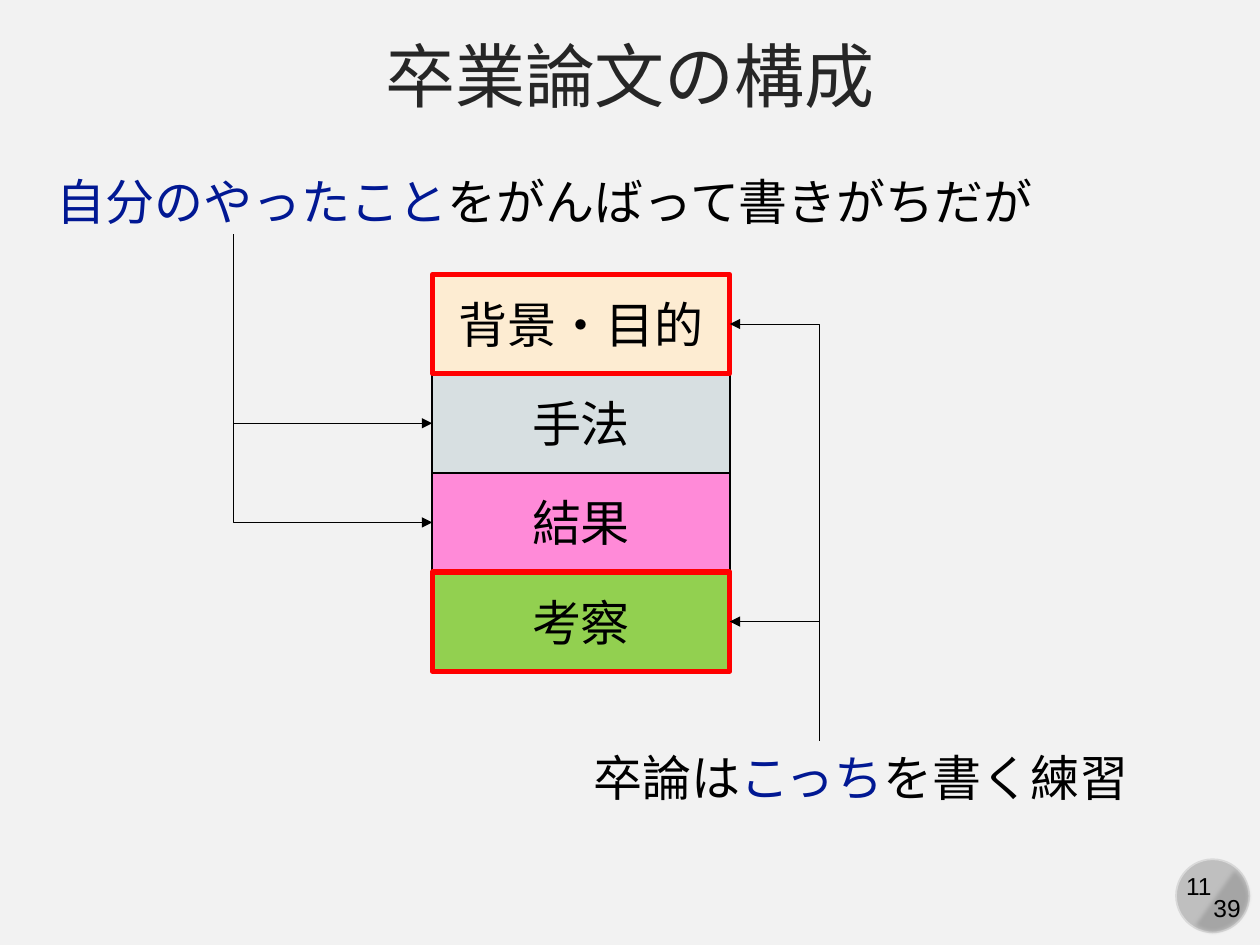
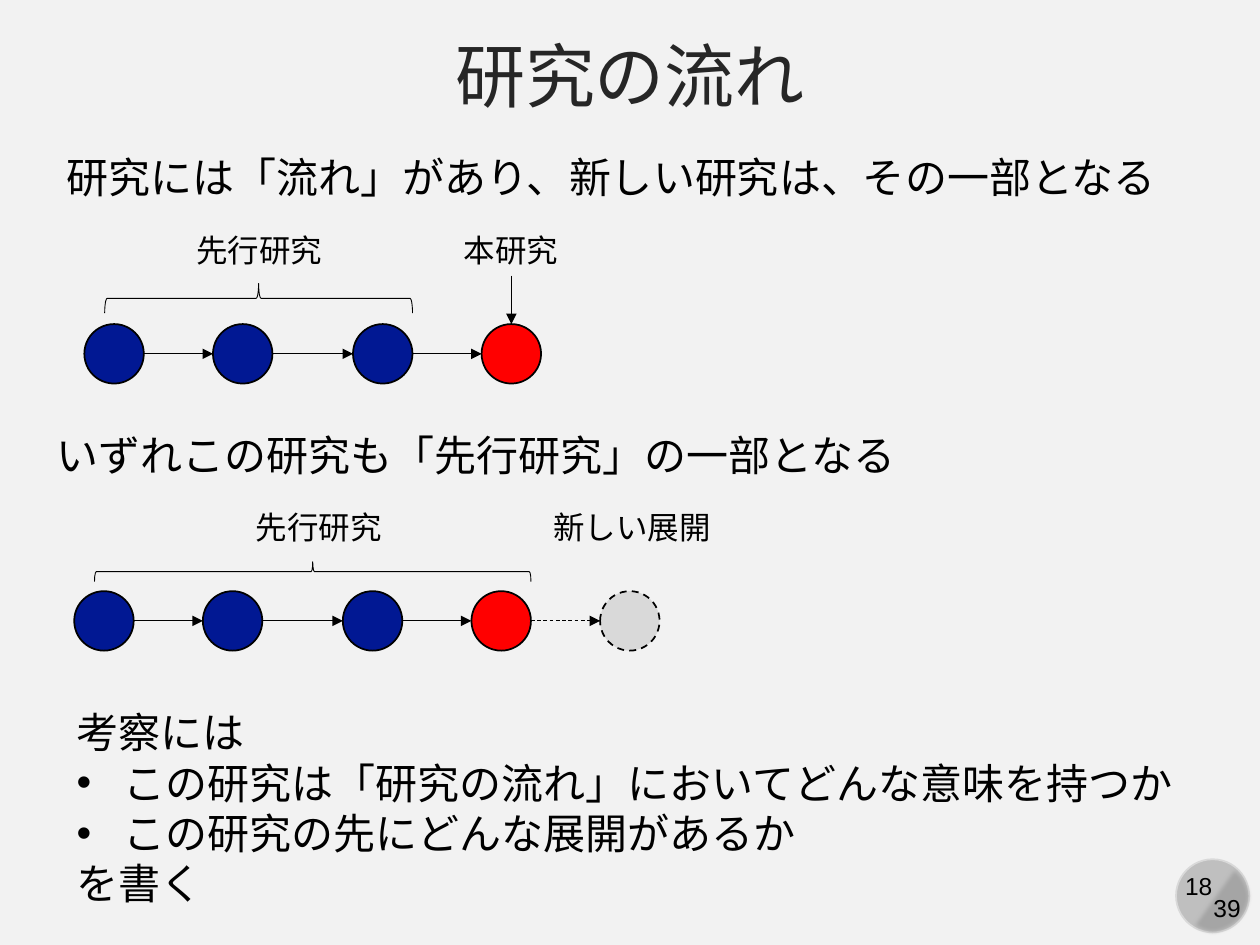
from lxml import etree
from pptx import Presentation
from pptx.dml.color import RGBColor
from pptx.enum.dml import MSO_LINE
from pptx.enum.shapes import MSO_CONNECTOR, MSO_SHAPE
from pptx.enum.text import MSO_ANCHOR, MSO_AUTO_SIZE, PP_ALIGN
from pptx.oxml.ns import qn
from pptx.util import Pt

BACKGROUND = RGBColor(0xF2, 0xF2, 0xF2)
BLACK = RGBColor(0, 0, 0)
TITLE_GREY = RGBColor(0x26, 0x26, 0x26)
NAVY = RGBColor(0x01, 0x18, 0x93)
RED = RGBColor(0xFF, 0, 0)
CREAM = RGBColor(0xFD, 0xEC, 0xD2)
MIST = RGBColor(0xD7, 0xDF, 0xE1)
PINK = RGBColor(0xFF, 0x8A, 0xD8)
GREEN = RGBColor(0x92, 0xD0, 0x50)
DISC_GREY = RGBColor(0xBF, 0xBF, 0xBF)
CHORD_GREY = RGBColor(0xA6, 0xA6, 0xA6)
PALE_GREY = RGBColor(0xD9, 0xD9, 0xD9)

FONT = "Arial"
PAGE_COUNT = "39"
BULLET_INDENT = 27


def add_child(parent, tag, **attributes):
    child = etree.SubElement(parent, qn(tag))
    for name, value in attributes.items():
        child.set(name, value)
    return child


class Deck:
    """Holds the shared style and the current slide; lengths are in points."""

    def __init__(self):
        self.presentation = Presentation()
        self.presentation.slide_width = Pt(720)
        self.presentation.slide_height = Pt(540)
        self.slide = None

    def new_slide(self, title, number):
        self.slide = self.presentation.slides.add_slide(self.presentation.slide_layouts[6])
        fill = self.slide.background.fill
        fill.solid()
        fill.fore_color.rgb = BACKGROUND
        self.page_badge(number)
        self.text([title], 0, 15, 720, 59, size=40, color=TITLE_GREY,
                  align=PP_ALIGN.CENTER, wrap=True)

    def page_badge(self, number):
        self.shape(MSO_SHAPE.OVAL, 672, 491, 41.8, 41.8, DISC_GREY, PALE_GREY)
        self.text([number], 669, 494, 32, 24.2, size=14, align=PP_ALIGN.CENTER)
        chord = self.shape(MSO_SHAPE.CHORD, 671, 489.8, 44.6, 44.6, CHORD_GREY)
        chord.adjustments[0] = 27
        chord.adjustments[1] = 141.42
        chord.rotation = 255
        effects = chord.element.spPr.find(qn("a:effectLst"))
        add_child(effects, "a:softEdge", rad=str(Pt(2.5)))
        self.text([PAGE_COUNT], 686, 507, 30.4, 24.2, size=14, align=PP_ALIGN.CENTER)

    def write_run(self, paragraph, text, size, color):
        run = paragraph.add_run()
        run.text = text
        for name, value in {"size": Pt(size), "name": FONT}.items():
            setattr(run.font, name, value)
        run.font.color.rgb = color
        add_child(run.font._element, "a:ea", typeface=FONT)

    def text(self, lines, left, top, width, height, size=24, color=BLACK,
             align=PP_ALIGN.LEFT, wrap=False, bullets=()):
        """Each line is a string or a list of (text, color) runs."""
        box = self.slide.shapes.add_textbox(Pt(left), Pt(top), Pt(width), Pt(height))
        frame = box.text_frame
        frame.word_wrap = wrap
        frame.auto_size = MSO_AUTO_SIZE.NONE if wrap else MSO_AUTO_SIZE.SHAPE_TO_FIT_TEXT
        for index, line in enumerate(lines):
            paragraph = frame.add_paragraph() if index else frame.paragraphs[0]
            paragraph.alignment = align
            if index in bullets:
                self.bullet(paragraph)
            runs = [(line, color)] if isinstance(line, str) else line
            for run_text, run_color in runs:
                self.write_run(paragraph, run_text, size, run_color)

    def bullet(self, paragraph):
        properties = paragraph._element.get_or_add_pPr()
        properties.set("marL", str(Pt(BULLET_INDENT)))
        properties.set("indent", str(-Pt(BULLET_INDENT)))
        add_child(properties, "a:buFont", typeface=FONT)
        add_child(properties, "a:buChar", char="•")

    def shape(self, kind, left, top, width, height, fill=None, line=None,
              line_width=1, dashed=False):
        shape = self.slide.shapes.add_shape(kind, Pt(left), Pt(top), Pt(width), Pt(height))
        shape.shadow.inherit = False
        if fill is None:
            shape.fill.background()
        else:
            shape.fill.solid()
            shape.fill.fore_color.rgb = fill
        if line is None:
            shape.line.fill.background()
        else:
            self.stroke(shape.line, line, line_width, dashed)
        return shape

    def stroke(self, line, color, width, dashed):
        line.color.rgb = color
        line.width = Pt(width)
        if dashed:
            line.dash_style = MSO_LINE.DASH

    def box(self, label, left, top, width, height, **style):
        box = self.shape(MSO_SHAPE.RECTANGLE, left, top, width, height, **style)
        box.text_frame.vertical_anchor = MSO_ANCHOR.MIDDLE
        paragraph = box.text_frame.paragraphs[0]
        paragraph.alignment = PP_ALIGN.CENTER
        self.write_run(paragraph, label, 28, BLACK)

    def arrow(self, start, end, kind=MSO_CONNECTOR.STRAIGHT, dashed=False):
        connector = self.slide.shapes.add_connector(
            kind, *(Pt(value) for value in (*start, *end)))
        self.stroke(connector.line, BLACK, 0.5, dashed)
        add_child(connector.line._get_or_add_ln(), "a:tailEnd", type="triangle")
        add_child(connector.element.spPr, "a:effectLst")
        return connector

    def elbow(self, start, end):
        """Runs vertically from start, then horizontally to end."""
        across, down = end[0] - start[0], end[1] - start[1]
        middle_x, middle_y = start[0] + across / 2, start[1] + down / 2
        # The frame is given before its turn by 270 degrees
        connector = self.arrow((middle_x + down / 2, middle_y - across / 2),
                               (middle_x - down / 2, middle_y + across / 2),
                               MSO_CONNECTOR.ELBOW)
        properties = connector.element.spPr
        properties.find(qn("a:xfrm")).set("rot", str(270 * 60000))
        properties.find(qn("a:prstGeom")).set("prst", "bentConnector2")

    def brace(self, left, top, width, height):
        """Lies above what it groups, with its tip upward."""
        shape = self.shape(MSO_SHAPE.LEFT_BRACE, left + (width - height) / 2,
                           top + (height - width) / 2, height, width,
                           line=BLACK, line_width=0.5)
        shape.rotation = 90


def build_structure_slide(deck):
    deck.new_slide("卒業論文の構成", "11")
    left, top, width, height = 247, 156.8, 170, 56.7
    red_border = {"line": RED, "line_width": 3}
    black_border = {"line": BLACK, "line_width": 1}

    # Chapters, with the emphasised borders on top
    chapters = [(1, "手法", MIST, black_border), (2, "結果", PINK, black_border),
                (3, "考察", GREEN, red_border), (0, "背景・目的", CREAM, red_border)]
    for row, label, fill, border in chapters:
        deck.box(label, left, top + row * height, width, height, fill=fill, **border)

    # Remarks and their arrows
    deck.text([[("自分のやったこと", NAVY), ("をがんばって書きがちだが", BLACK)]],
              25.2, 94.3, 580.3, 41, size=28)
    deck.text([[("卒論は", BLACK), ("こっち", NAVY), ("を書く練習", BLACK)]],
              332, 423.4, 325.4, 41, size=28)
    for start, edge, rows in [((133.4, 134), left, (1, 2)),
                              ((468, 423.4), left + width, (0, 3))]:
        for row in rows:
            deck.elbow(start, (edge, top + (row + 0.5) * height))


def draw_studies(deck, left, top, brace_top, brace_height, with_next=False):
    diameter = 34
    offsets = [0, 73.5, 153.5, 227, 300.5]
    fills = [NAVY, NAVY, NAVY, RED, PALE_GREY]
    count = 5 if with_next else 4
    for index in range(count):
        dashed = index == 4
        x = left + offsets[index]
        deck.shape(MSO_SHAPE.OVAL, x, top, diameter, diameter, fills[index], BLACK,
                   dashed=dashed)
        if index:
            y = top + diameter / 2
            deck.arrow((left + offsets[index - 1] + diameter, y), (x, y), dashed=dashed)
    # Brace over every study but the last
    brace_left = left + 11.6
    brace_right = left + offsets[count - 2] + diameter
    deck.brace(brace_left, brace_top, brace_right - brace_left, brace_height)


def build_flow_slide(deck):
    deck.new_slide("研究の流れ", "18")

    # Present state
    deck.text(["研究には「流れ」があり、新しい研究は、その一部となる"], 31, 82.8, 644.4, 36)
    draw_studies(deck, 48.2, 185.2, 162, 17)
    deck.text(["先行研究"], 105, 128.4, 87, 29, size=18)
    deck.text(["本研究"], 257.8, 128.4, 69, 29, size=18)
    deck.arrow((292.2, 157.5), (292.2, 185.2))

    # Later state
    deck.text(["いずれこの研究も「先行研究」の一部となる"], 25.2, 242, 499, 36)
    draw_studies(deck, 42.4, 337.8, 321, 11.4, with_next=True)
    deck.text(["先行研究"], 139, 287, 87, 29, size=18)
    deck.text(["新しい展開"], 309, 287, 105, 29, size=18)

    # Conclusion
    deck.text(["考察には",
               "この研究は「研究の流れ」においてどんな意味を持つか",
               "この研究の先にどんな展開があるか",
               "を書く"], 36.7, 400.3, 648, 124, bullets=(1, 2))


def main():
    deck = Deck()
    build_structure_slide(deck)
    build_flow_slide(deck)
    deck.presentation.save("out.pptx")


if __name__ == "__main__":
    main()
